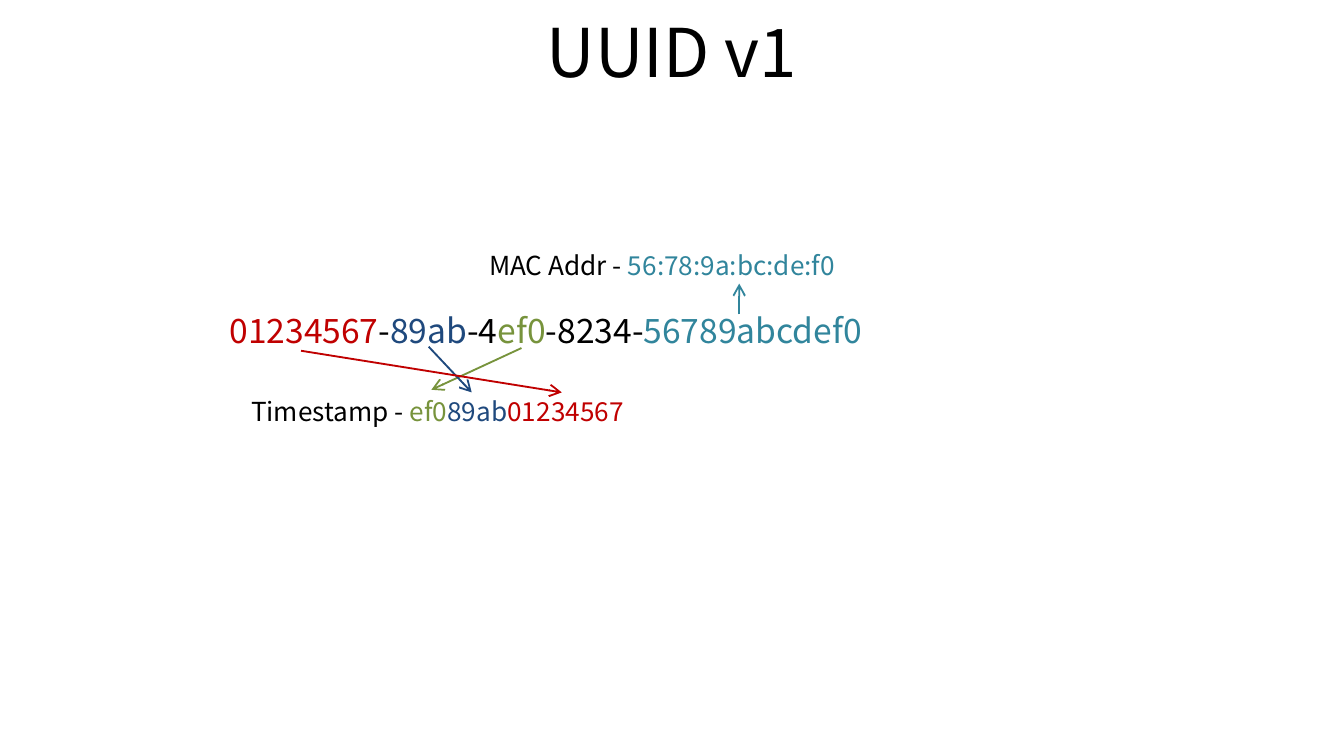
"""Build a slide showing how a version 1 UUID is put together."""
import pptx
import pptx.dml.color
import pptx.enum.shapes
import pptx.enum.text
import pptx.oxml.ns
import pptx.util
from lxml import etree
from pptx.util import Inches

BLACK = "000000"
RED = "C00000"
BLUE = "1F497D"
GREEN = "77933C"
TEAL = "31859C"


def color(value):
    return pptx.dml.color.RGBColor.from_string(value)


def add_text(para, text, *, size, font, fill=BLACK):
    span = para.add_run()
    span.text = text
    span.font.size = pptx.util.Pt(size)
    span.font.name = font
    span.font.color.rgb = color(fill)


class Page:
    def __init__(self, deck):
        self.font = "Noto Sans CJK KR"
        self.slide = deck.slides.add_slide(deck.slide_layouts[5])

    def title(self, text, left, top, width, height):
        box = self.slide.shapes.title
        box.left, box.top = Inches(left), Inches(top)
        box.width, box.height = Inches(width), Inches(height)
        box.text_frame.vertical_anchor = pptx.enum.text.MSO_ANCHOR.MIDDLE
        para = box.text_frame.paragraphs[0]
        para.alignment = pptx.enum.text.PP_ALIGN.CENTER
        add_text(para, text, size=36, font=self.font)

    def label(self, parts, left, top, width, height, size=14):
        box = self.slide.shapes.add_textbox(
            Inches(left), Inches(top), Inches(width), Inches(height))
        frame = box.text_frame
        frame.word_wrap = False
        frame.auto_size = pptx.enum.text.MSO_AUTO_SIZE.SHAPE_TO_FIT_TEXT
        for text, fill in parts:
            add_text(frame.paragraphs[0], text, size=size, font=self.font, fill=fill)

    def arrow(self, start, end, fill):
        line = self.slide.shapes.add_connector(
            pptx.enum.shapes.MSO_CONNECTOR.STRAIGHT,
            *(Inches(value) for value in (*start, *end)))
        line.line.color.rgb = color(fill)
        line.line.width = pptx.util.Pt(1)
        outline = line.line._get_or_add_ln()
        etree.SubElement(outline, pptx.oxml.ns.qn("a:tailEnd"), type="arrow")
        etree.SubElement(line._element.spPr, pptx.oxml.ns.qn("a:effectLst"))


def main():
    deck = pptx.Presentation()
    deck.slide_width = Inches(10)
    deck.slide_height = deck.slide_width * 9 // 16
    page = Page(deck)
    page.title("UUID v1", 0.5, -0.02, 9, 0.79)

    low, mid, high = ("01234567", RED), ("89ab", BLUE), ("ef0", GREEN)
    page.label([low, ("-", BLACK), mid, ("-4", BLACK), high,
                ("-8234-", BLACK), ("56789abcdef0", TEAL)],
               1.61, 2.26, 4.94, 0.4, size=18)
    page.arrow((3.88, 2.59), (3.21, 2.9), GREEN)
    page.arrow((3.19, 2.58), (3.51, 2.92), BLUE)
    page.label([("MAC Addr - ", BLACK), ("56:78:9a:bc:de:f0", TEAL)],
               3.54, 1.81, 2.82, 0.34)
    page.label([("Timestamp - ", BLACK), high, mid, low], 1.77, 2.89, 2.98, 0.34)
    page.arrow((2.24, 2.61), (4.18, 2.92), RED)
    page.arrow((5.5, 2.34), (5.5, 2.11), TEAL)
    deck.save("out.pptx")


if __name__ == "__main__":
    main()
